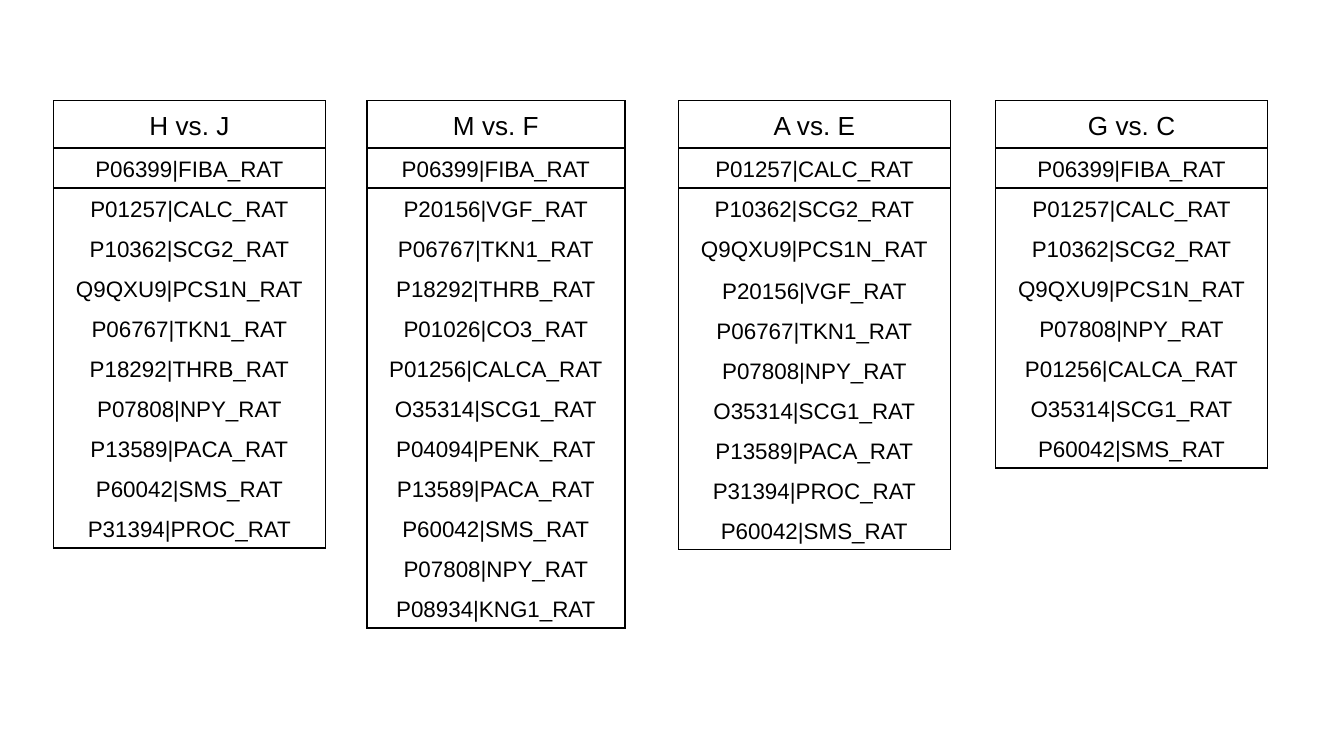
from lxml.etree import SubElement as Sub
from pptx import Presentation
from pptx.dml.color import RGBColor as RGB
from pptx.enum.text import PP_ALIGN as Align
from pptx.oxml.ns import qn
from pptx.util import Inches, Pt

HUES = {"ink": "000000"}
TOP, HEAD, ROW, TALL = 0.75, 0.33, 0.28, 0.31
PAD = 1 / 24

LISTS = [
    (0.4, 2.02, "H vs. J", None,
     ["P06399|FIBA_RAT", "P01257|CALC_RAT", "P10362|SCG2_RAT",
      "Q9QXU9|PCS1N_RAT", "P06767|TKN1_RAT", "P18292|THRB_RAT",
      "P07808|NPY_RAT", "P13589|PACA_RAT", "P60042|SMS_RAT",
      "P31394|PROC_RAT"]),
    (2.73, 1.92, "M vs. F", None,
     ["P06399|FIBA_RAT", "P20156|VGF_RAT", "P06767|TKN1_RAT",
      "P18292|THRB_RAT", "P01026|CO3_RAT", "P01256|CALCA_RAT",
      "O35314|SCG1_RAT", "P04094|PENK_RAT", "P13589|PACA_RAT",
      "P60042|SMS_RAT", "P07808|NPY_RAT", "P08934|KNG1_RAT"]),
    (5.05, 2.02, "A vs. E", 3,
     ["P01257|CALC_RAT", "P10362|SCG2_RAT", "Q9QXU9|PCS1N_RAT",
      "P20156|VGF_RAT", "P06767|TKN1_RAT", "P07808|NPY_RAT",
      "O35314|SCG1_RAT", "P13589|PACA_RAT", "P31394|PROC_RAT",
      "P60042|SMS_RAT"]),
    (7.41, 2.02, "G vs. C", None,
     ["P06399|FIBA_RAT", "P01257|CALC_RAT", "P10362|SCG2_RAT",
      "Q9QXU9|PCS1N_RAT", "P07808|NPY_RAT", "P01256|CALCA_RAT",
      "O35314|SCG1_RAT", "P60042|SMS_RAT"]),
]


def write(cell, text, size=12, side=PAD, edge=PAD, hue="ink"):
    cell.margin_left = cell.margin_right = Inches(side)
    cell.margin_top = cell.margin_bottom = Inches(edge)
    para = cell.text_frame.paragraphs[0]
    para.alignment = Align.CENTER
    para.line_spacing = 1.15
    run = para.add_run()
    run.text = text
    run.font.size = Pt(size)
    run.font.name = "Arial"
    run.font.color.rgb = RGB.from_string(HUES[hue])


def rule(cell, sides, hue="ink"):
    props = cell._tc.get_or_add_tcPr()
    for side in "LRTB":
        line = Sub(props, qn(f"a:ln{side}"), w=str(Pt(0.75)))
        if side in sides:
            fill = Sub(line, qn("a:solidFill"))
            Sub(fill, qn("a:srgbClr"), val=HUES[hue])
        else:
            Sub(line, qn("a:noFill"))
    cell.fill.background()


def add_list(slide, left, width, head, tall, names):
    count = len(names) + 1
    sizes = [HEAD] + [ROW] * len(names)
    if tall:
        sizes[tall] = TALL
    table = slide.shapes.add_table(
        count, 1, Inches(left), Inches(TOP), Inches(width),
        Inches(sum(sizes))).table
    table.first_row = table.horz_banding = False
    for row, size in enumerate(sizes):
        table.rows[row].height = Inches(size)
        cell = table.cell(row, 0)
        if row == 0:
            write(cell, head, size=14, side=0.1, edge=0.05)
        else:
            write(cell, names[row - 1])
        sides = "LR"
        if row < 3:
            sides += "T"
        if row in (0, 1, count - 1):
            sides += "B"
        rule(cell, sides)


def main():
    deck = Presentation()
    deck.slide_width = Inches(10)
    deck.slide_height = deck.slide_width * 9 // 16
    slide = deck.slides.add_slide(deck.slide_layouts[6])
    for item in LISTS:
        add_list(slide, *item)
    deck.save("out.pptx")


if __name__ == "__main__":
    main()
